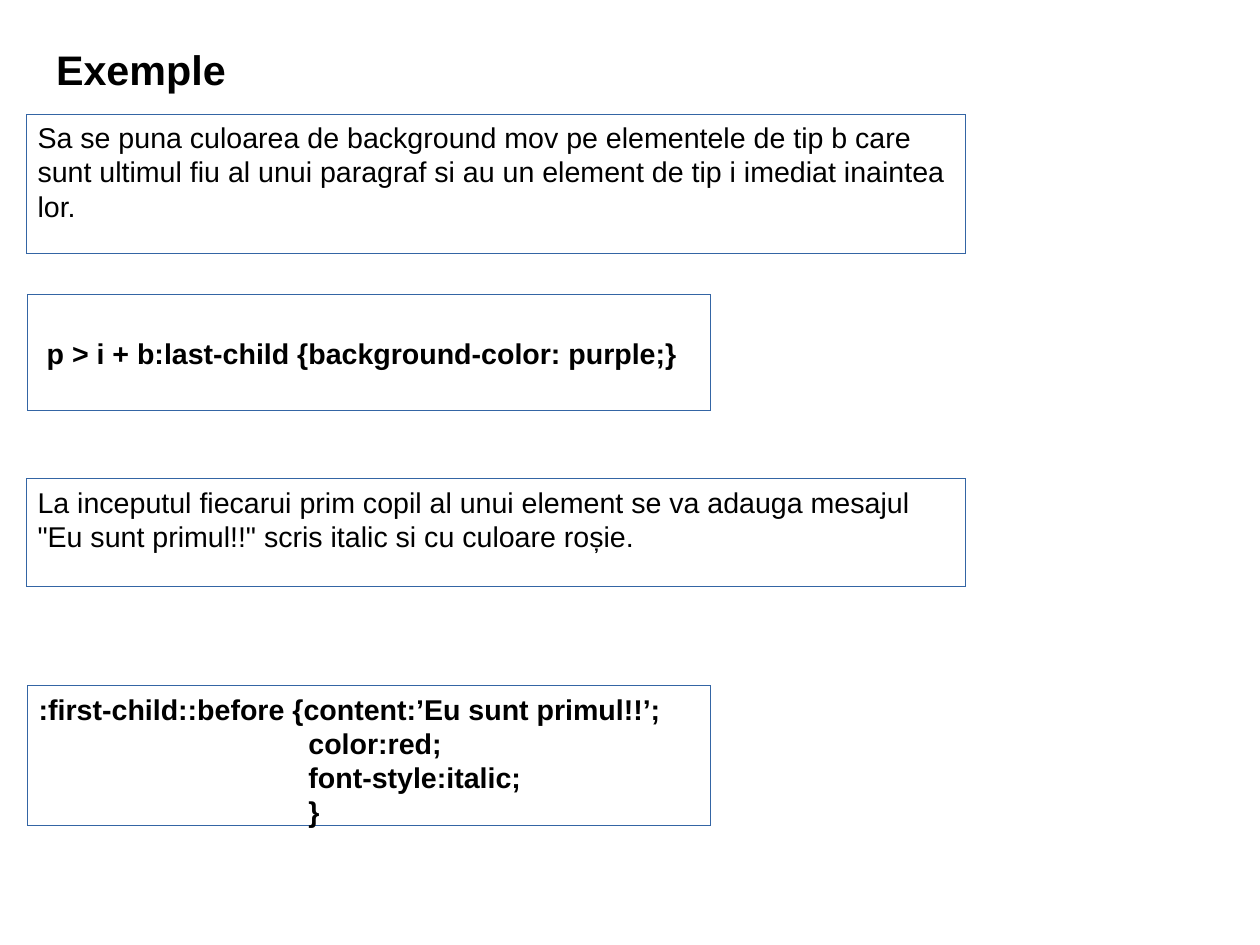
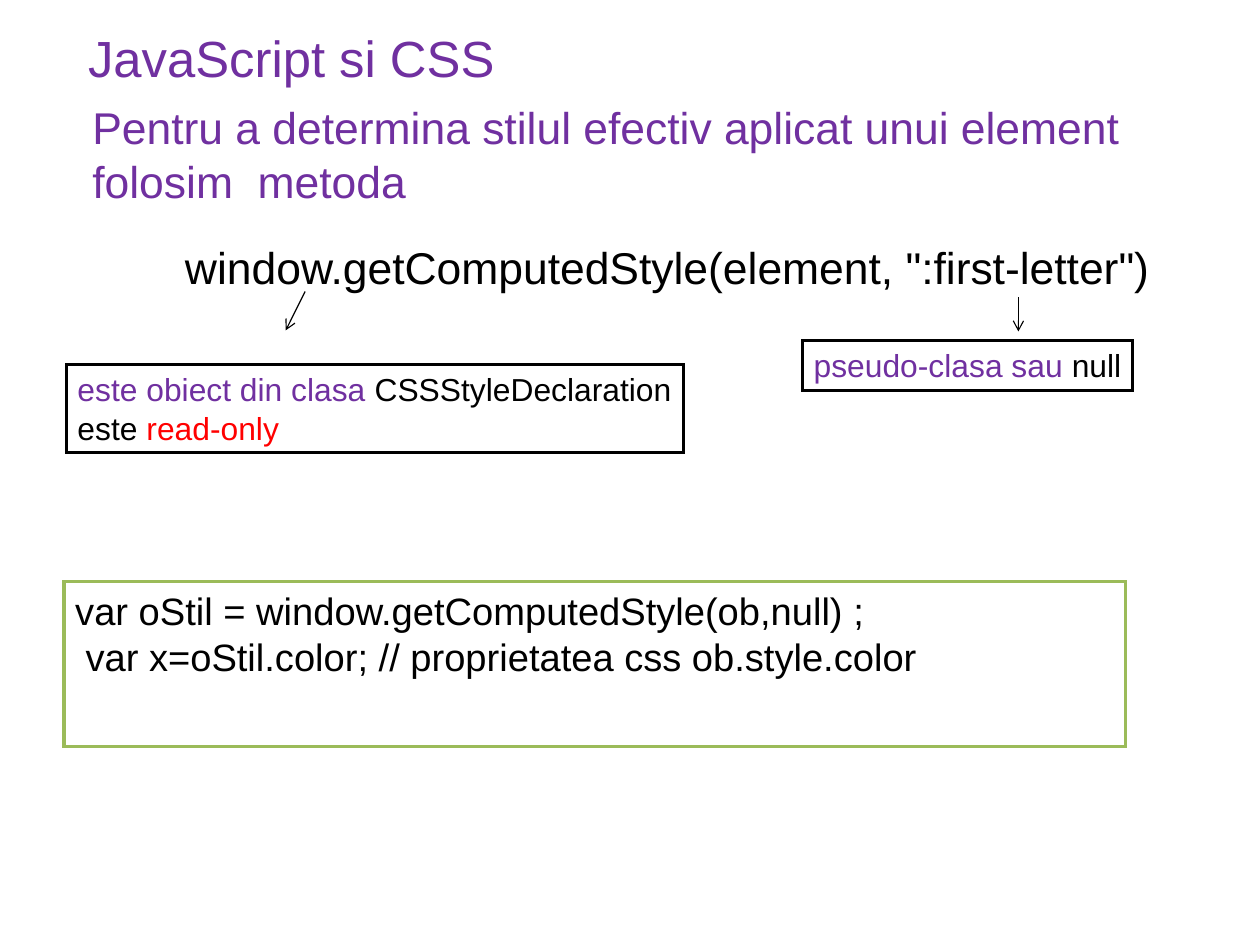
from lxml import etree
from pptx import Presentation
from pptx import util as u
from pptx.dml import color
from pptx.enum import shapes, text
from pptx.oxml import ns

FONT = "Arial"
BLACK, WHITE, RED = "000000", "FFFFFF", "FF0000"
PURPLE, BLUE, GREEN = "7030A0", "3465A4", "9BBB59"
CM_PER_INCH = 2.54


def rgb(value):
    """Return the colour for a hex string."""
    return color.RGBColor.from_string(value)


def place(shape, left, top, width, height):
    """Move and size a shape, in inches."""
    shape.left, shape.top = u.Inches(left), u.Inches(top)
    shape.width, shape.height = u.Inches(width), u.Inches(height)


def write(shape, lines, size, ink=BLACK, bold=False, wrap=True, indents=(), middle=False):
    """Fill a shape with lines, each a string or a list of (text, colour) spans."""
    frame = shape.text_frame
    frame.auto_size = text.MSO_AUTO_SIZE.NONE
    frame.word_wrap = wrap
    frame.vertical_anchor = text.MSO_ANCHOR.MIDDLE if middle else text.MSO_ANCHOR.TOP
    for index, line in enumerate(lines):
        para = frame.add_paragraph() if index else frame.paragraphs[0]
        para.alignment = text.PP_ALIGN.LEFT
        if index < len(indents):
            para._p.get_or_add_pPr().set("marL", str(u.Inches(indents[index])))
        spans = [(line, ink)] if isinstance(line, str) else line
        for words, shade in spans:
            span = para.add_run()
            span.text = words
            span.font.name, span.font.size, span.font.bold = FONT, u.Pt(size), bold
            span.font.color.rgb = rgb(shade)


def add_page(deck, title, at, size, ink=BLACK, bold=False):
    """Add a title-only slide with its title placed and formatted."""
    page = deck.slides.add_slide(deck.slide_layouts[5])
    place(page.shapes.title, *at)
    write(page.shapes.title, [title], size, ink, bold)
    return page


def add_label(page, at, lines, size, **style):
    """Add plain text without a frame."""
    label = page.shapes.add_textbox(*map(u.Inches, at))
    write(label, lines, size, **style)


def add_box(page, at, lines, size, edge, weight, fill=None, **style):
    """Add a sharp-cornered outlined rectangle holding text."""
    box = page.shapes.add_shape(shapes.MSO_SHAPE.RECTANGLE, *map(u.Inches, at))
    box.shadow.inherit = False
    if fill:
        box.fill.solid()
        box.fill.fore_color.rgb = rgb(fill)
    else:
        box.fill.background()
    box.line.color.rgb = rgb(edge)
    box.line.width = u.Pt(weight)
    etree.SubElement(box.line._get_or_add_ln(), ns.qn("a:miter"), lim="800000")
    write(box, lines, size, **style)


def add_arrow(page, *ends):
    """Add a thin black arrow with an open head."""
    arrow = page.shapes.add_connector(shapes.MSO_CONNECTOR.STRAIGHT, *map(u.Inches, ends))
    arrow.line.color.rgb = rgb(BLACK)
    arrow.line.width = u.Pt(0.74)
    etree.SubElement(arrow.line._get_or_add_ln(), ns.qn("a:tailEnd"), type="arrow")
    etree.SubElement(arrow._element.spPr, ns.qn("a:effectLst"))


def build_examples(deck):
    """Build the slide of CSS selector exercises and answers."""
    page = add_page(deck, "Exemple", (0.39, 0.34, 7.8, 0.6), 26, bold=True)
    tasks = [
        (1, 1.22, "Sa se puna culoarea de background mov pe elementele de tip b care sunt "
                  "ultimul fiu al unui paragraf si au un element de tip i imediat inaintea lor."),
        (4.19, 0.94, "La inceputul fiecarui prim copil al unui element se va adauga mesajul "
                     "\"Eu sunt primul!!\" scris italic si cu culoare roșie."),
    ]
    for top, height, task in tasks:
        add_box(page, (0.23, top, 8.22, height), [task], 18, BLUE, 0)
    answers = [
        (2.58, 1.01, ["p > i + b:last-child {background-color: purple;}"], [0.07], True),
        (6, 1.22, [":first-child::before {content:’Eu sunt primul!!’;", "color:red;",
                   "font-style:italic;", "}"], [0] + [2.36] * 3, False),
    ]
    for top, height, rule, indents, middle in answers:
        add_box(page, (0.24, top, 5.98, height), rule, 18, BLUE, 0,
                bold=True, indents=indents, middle=middle)


def build_computed_style(deck):
    """Build the slide on reading the style that applies to an element."""
    page = add_page(deck, "JavaScript si CSS", (0.67, 0.18, 4.2, 0.65), 32, PURPLE)
    add_label(page, (0.71, 0.83, 9.29, 1.04),
              ["Pentru a determina stilul efectiv aplicat unui element", "folosim  metoda"],
              28, ink=PURPLE)
    add_label(page, (1.52, 2.05, 8.65, 0.6),
              ["window.getComputedStyle(element, \":first-letter\")"], 28, wrap=False)
    notes = [
        ((7.02, 2.98, 2.89, 0.44), [[("pseudo-clasa sau", PURPLE), (" null", BLACK)]]),
        ((0.58, 3.19, 5.4, 0.77), [
            [("este obiect din clasa ", PURPLE), ("CSSStyleDeclaration", BLACK)],
            [("este ", BLACK), ("read-only", RED)]]),
    ]
    for at, lines in notes:
        add_box(page, at, lines, 20, BLACK, 2, WHITE, wrap=False)
    add_arrow(page, 8.91, 2.6, 8.91, 2.9)
    add_arrow(page, 2.67, 2.55, 2.5, 2.89)
    add_box(page, (0.56, 5.09, 9.29, 1.44),
            ["var oStil = window.getComputedStyle(ob,null) ;",
             "var x=oStil.color; // proprietatea css ob.style.color"],
            24, GREEN, 2, WHITE, indents=[0, 0.09])


def main():
    """Build and save the deck."""
    deck = Presentation()
    deck.slide_width = u.Inches(28 / CM_PER_INCH)
    deck.slide_height = u.Inches(21 / CM_PER_INCH)
    build_examples(deck)
    build_computed_style(deck)
    deck.save("out.pptx")


main()
